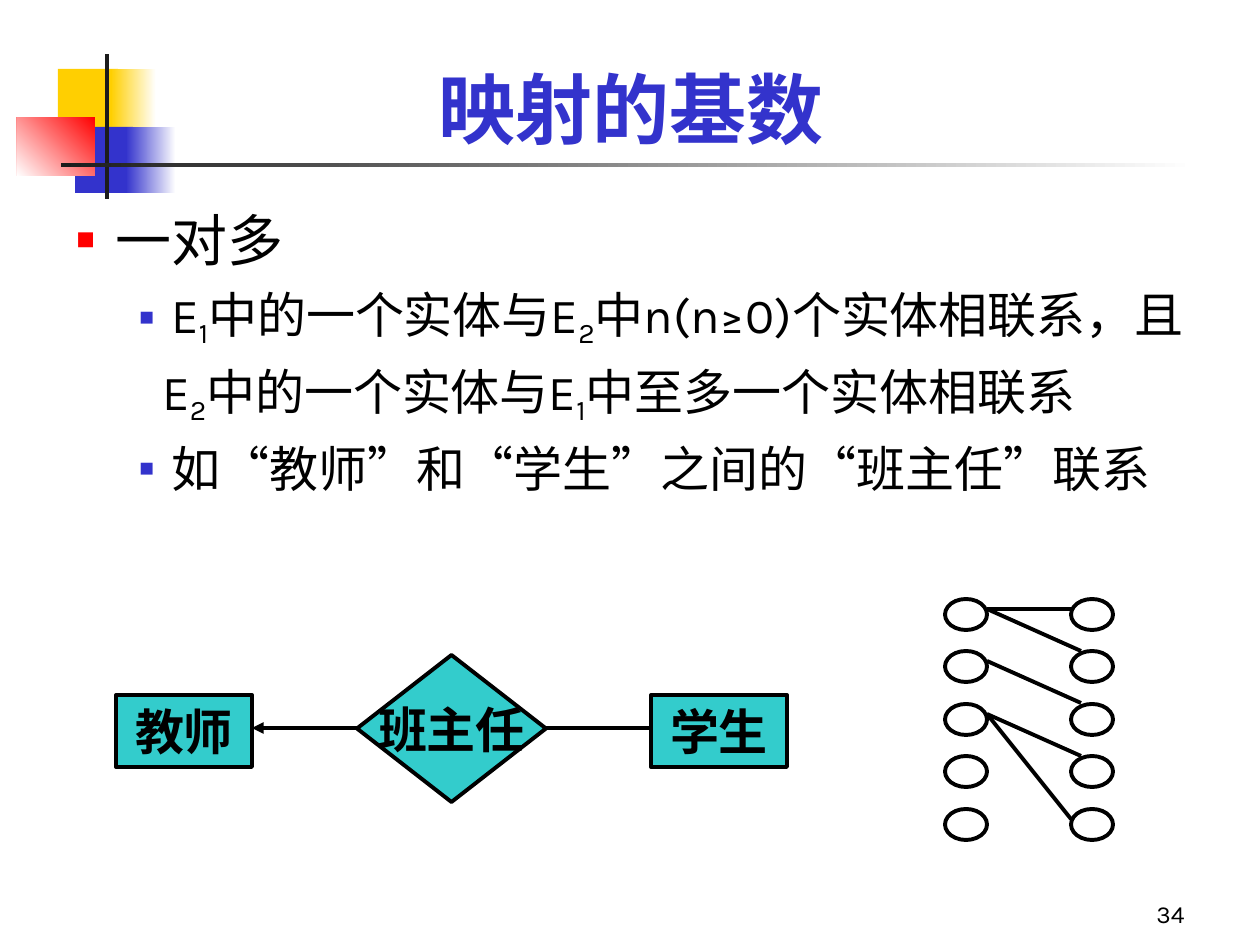
from lxml import etree
from pptx import Presentation
from pptx.dml.color import RGBColor
from pptx.enum.shapes import MSO_CONNECTOR, MSO_SHAPE
from pptx.enum.text import MSO_ANCHOR, PP_ALIGN
from pptx.oxml.ns import qn
from pptx.util import Pt

RECT, DIAMOND, OVAL = MSO_SHAPE.RECTANGLE, MSO_SHAPE.DIAMOND, MSO_SHAPE.OVAL
STRAIGHT = MSO_CONNECTOR.STRAIGHT
TOP, MIDDLE, BOTTOM = MSO_ANCHOR.TOP, MSO_ANCHOR.MIDDLE, MSO_ANCHOR.BOTTOM
CENTER, RIGHT, JUSTIFY = PP_ALIGN.CENTER, PP_ALIGN.RIGHT, PP_ALIGN.JUSTIFY

PX = 7257  # EMU per px, 126 px to the inch
THEME = {
    "font": "Karla", "label_font": "Times New Roman",
    "black": "000000", "white": "FFFFFF", "bar": "1C1C1C",
    "blue": "3333CC", "yellow": "FFCF01", "red": "FF0000", "teal": "33CCCC",
    "title": 44, "topic": 32, "body": 28, "number": 14, "line": 2.25,
}

prs = Presentation()
prs.slide_width, prs.slide_height = 1260 * PX, 945 * PX
s = prs.slides.add_slide(prs.slide_layouts[6])


def add_box(kind, box, fill=None, outlined=False):
    sp = s.shapes.add_shape(kind, *[v * PX for v in box])
    sp.shadow.inherit = False
    if fill:
        sp.fill.solid()
        sp.fill.fore_color.rgb = RGBColor.from_string(THEME[fill])
    else:
        sp.fill.background()
    if outlined:
        sp.line.color.rgb = RGBColor.from_string(THEME["black"])
        sp.line.width = Pt(THEME["line"])
    else:
        sp.line.fill.background()
    return sp


def add_runs(p, texts, size, align, color="black", font="font", bold=False):
    """Fill a paragraph with runs; every second run is a subscript."""
    p.alignment = align
    for i, text in enumerate(texts):
        r = p.add_run()
        r.text = text
        r.font.name = THEME[font]
        r.font.size = Pt(THEME[size])
        r.font.bold = bold
        r.font.color.rgb = RGBColor.from_string(THEME[color])
        if i % 2:
            r.font._element.set("baseline", "-20000")


# Corner ornament and title rule: box, start colour, end colour, angle
ornament = [
    ((58, 69, 60, 66), "yellow", None, 0),
    ((111, 69, 45, 66), "white", "yellow", 180),
    ((75, 127, 58, 66), "blue", None, 0),
    ((126, 127, 50, 66), "white", "blue", 180),
    ((17, 117, 78, 59), "red", "white", 225),
    ((105, 54, 4, 145), "bar", None, 0),
    ((61, 163, 1134, 4), "white", "bar", 180),
]
for box, start, end, angle in ornament:
    sp = add_box(RECT, box, start)
    if end:
        sp.fill.gradient()
        sp.fill.gradient_angle = angle
        for stop, color, position in zip(sp.fill.gradient_stops, (start, end), (0, 1)):
            stop.color.rgb = RGBColor.from_string(THEME[color])
            stop.position = position

# Title, slide number and body frames
frames = []
for box, anchor in [((94, 32, 1074, 128), BOTTOM),
                    ((935, 872, 262, 63), BOTTOM),
                    ((1, 199, 1234, 412), TOP)]:
    tf = s.shapes.add_textbox(*[v * PX for v in box]).text_frame
    tf.word_wrap = True
    tf.vertical_anchor = anchor
    frames.append(tf)
title, number, body = frames
add_runs(title.paragraphs[0], ["映射的基数"], "title", CENTER, "blue", bold=True)
add_runs(number.paragraphs[0], ["34"], "number", RIGHT)

# Body: runs, size, left margin, first-line indent, space before, bullet colour, bullet %
paragraphs = [
    (["一对多"], "topic", 102, -39, 8, "red", 55),
    (["E", "1", "中的一个实体与E", "2", "中n(n≥0)个实体相联系，且"],
     "body", 158, -32, 7, "blue", 50),
    (["E", "2", "中的一个实体与E", "1", "中至多一个实体相联系"],
     "body", 158, -9, 7, None, 0),
    (["如“教师”和“学生”之间的“班主任”联系"], "body", 158, -32, 7, "blue", 50),
]
for i, (texts, size, margin, indent, before, bullet, percent) in enumerate(paragraphs):
    p = body.add_paragraph() if i else body.paragraphs[0]
    add_runs(p, texts, size, JUSTIFY)
    p.space_before = Pt(before)
    pPr = p._p.get_or_add_pPr()
    pPr.set("marL", str(margin * PX))
    pPr.set("indent", str(indent * PX))
    if bullet:
        clr = etree.SubElement(pPr, qn("a:buClr"))
        etree.SubElement(clr, qn("a:srgbClr"), val=THEME[bullet])
        etree.SubElement(pPr, qn("a:buSzPct"), val=str(percent * 1000))
        etree.SubElement(pPr, qn("a:buFont"), typeface="Arial")
        etree.SubElement(pPr, qn("a:buChar"), char="■")

# Entities and their relationship
for kind, box, label in [(RECT, (116, 695, 136, 72), "教师"),
                         (RECT, (651, 695, 136, 72), "学生"),
                         (DIAMOND, (357, 655, 189, 147), "班主任")]:
    tf = add_box(kind, box, "teal", outlined=True).text_frame
    tf.word_wrap = False
    tf.vertical_anchor = MIDDLE
    tf.margin_top = tf.margin_bottom = 0
    add_runs(tf.paragraphs[0], [label], "body", CENTER, font="label_font", bold=True)

# Instances of the two entity sets
for left in (945, 1071):
    for row in range(5):
        add_box(OVAL, (left, 599 + row * 105 // 2, 42, 31), outlined=True)

# Lines: start, end, arrowhead at the end
lines = [
    ((357, 728), (252, 728), True),
    ((546, 728), (651, 728), False),
    ((987, 609), (1072, 609), False),
    ((987, 609), (1081, 651), False),
    ((987, 661), (1081, 703), False),
    ((987, 714), (1081, 756), False),
    ((987, 714), (1071, 819), False),
]
for start, end, arrow in lines:
    line = s.shapes.add_connector(STRAIGHT, *[v * PX for v in start + end])
    line.line.color.rgb = RGBColor.from_string(THEME["black"])
    line.line.width = Pt(THEME["line"])
    if arrow:
        etree.SubElement(line.line._get_or_add_ln(), qn("a:tailEnd"), type="triangle")
    etree.SubElement(line._element.spPr, qn("a:effectLst"))

prs.save("out.pptx")
